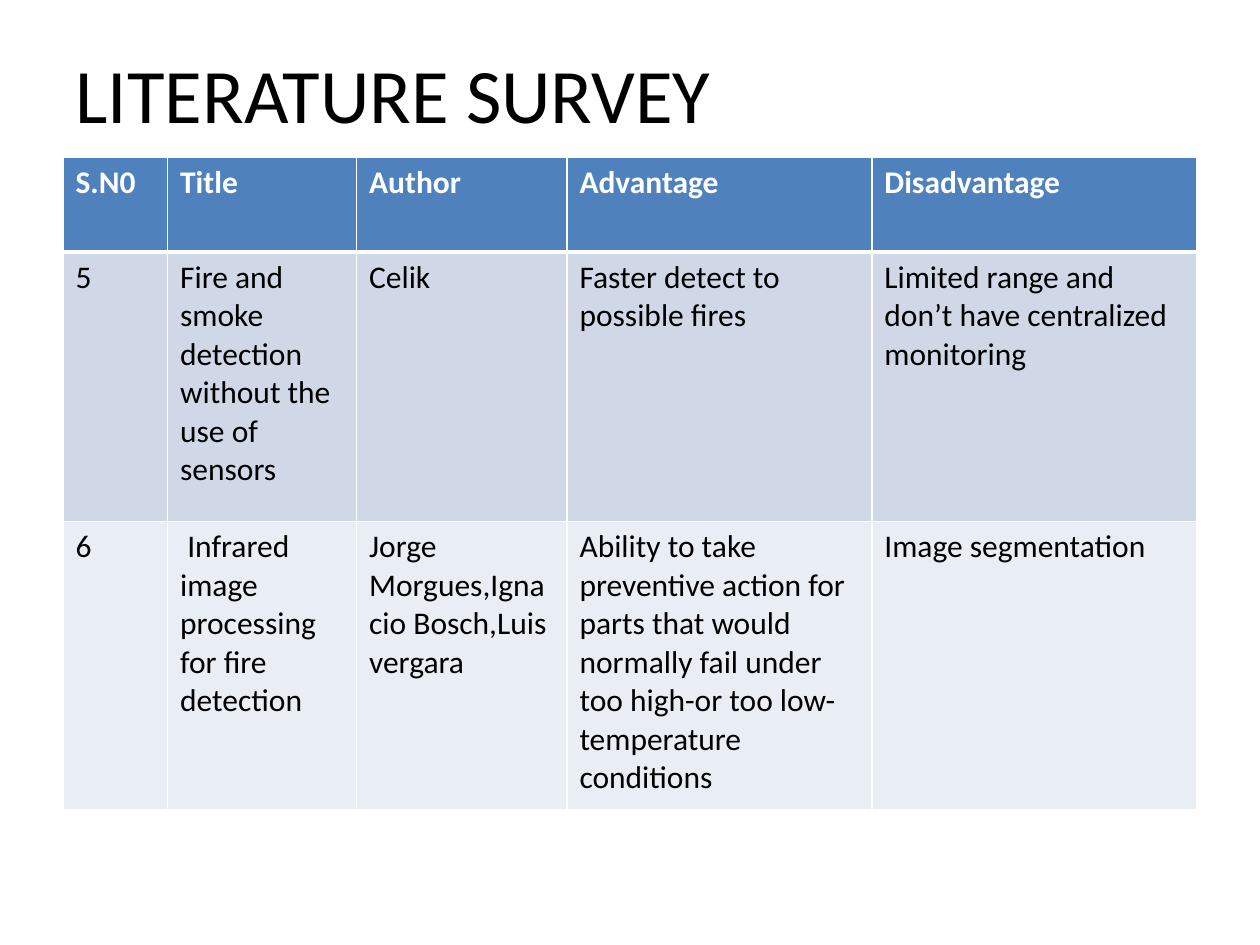
from lxml.etree import SubElement as Sub
from pptx import Presentation
from pptx.dml.color import RGBColor
from pptx.enum.text import MSO_ANCHOR as Anchor, PP_ALIGN as Align
from pptx.oxml.ns import qn
from pptx.util import Inches, Pt

BLACK = RGBColor(0, 0, 0)
WHITE = RGBColor(255, 255, 255)
BLUE = RGBColor(0x4F, 0x81, 0xBD)
BANDS = [RGBColor(0xD0, 0xD8, 0xE8), RGBColor(0xE9, 0xED, 0xF4)]

WIDE, HIGH = Inches(10), Inches(7.5)
COLS = [0.83, 1.5, 1.67, 2.42, 2.58]
ROWS = [0.75, 2.14, 2.29]

HEAD = {"name": "Calibri", "size": Pt(18), "bold": True}
BODY = {**HEAD, "bold": False}
TITLE = {**BODY, "size": Pt(44)}

DATA = [
    ["S.N0", "Title", "Author", "Advantage", "Disadvantage"],
    ["5", "Fire and smoke detection without the use of sensors", "Celik",
     "Faster detect to possible fires",
     "Limited range and don’t have centralized monitoring"],
    ["6", " Infrared image processing for fire detection",
     "Jorge Morgues,Ignacio Bosch,Luis vergara",
     "Ability to take preventive action for parts that would normally fail "
     "under too high-or too low- temperature conditions",
     "Image segmentation"],
]


def style(frame, look, color):
    font = frame.paragraphs[0].runs[0].font
    for key, value in look.items():
        setattr(font, key, value)
    font.color.rgb = color


def border(cell, widths):
    """Draw white cell edges; widths are points by side."""
    props = cell._tc.get_or_add_tcPr()
    for side, width in widths.items():
        line = Sub(props, qn("a:ln" + side), w=str(Pt(width)))
        Sub(Sub(line, qn("a:solidFill")), qn("a:srgbClr"), val=str(WHITE))


def add_title(slide, text, box):
    title = slide.shapes.title
    title.left, title.top, title.width, title.height = box
    frame = title.text_frame
    frame.text = text
    frame.vertical_anchor = Anchor.MIDDLE
    frame.paragraphs[0].alignment = Align.LEFT
    style(frame, TITLE, BLACK)


def add_survey(slide, data, box):
    left, top, width, height = box
    table = slide.shapes.add_table(len(data), len(COLS), *box).table
    for col, part in zip(table.columns, COLS):
        col.width = int(width * part / sum(COLS))
    for row, part in zip(table.rows, ROWS):
        row.height = int(height * part / sum(ROWS))

    # Header row first, then alternating bands
    for r, line in enumerate(data):
        head = r == 0
        for c, text in enumerate(line):
            cell = table.cell(r, c)
            cell.text = text
            style(cell.text_frame, HEAD if head else BODY,
                  WHITE if head else BLACK)
            border(cell, {"L": 1, "R": 1, "T": 3 if r == 1 else 1,
                          "B": 3 if head else 1})
            cell.fill.solid()
            cell.fill.fore_color.rgb = BLUE if head else BANDS[(r - 1) % 2]


def main():
    deck = Presentation()
    deck.slide_width, deck.slide_height = WIDE, HIGH
    slide = deck.slides.add_slide(deck.slide_layouts[5])
    left, width = int(WIDE * 0.05), int(WIDE * 0.9)
    add_title(slide, "LITERATURE SURVEY",
              (left, int(HIGH * 0.04), width, Inches(0.87)))
    add_survey(slide, DATA, (left, Inches(1.25), width, Inches(sum(ROWS))))
    deck.save("out.pptx")


if __name__ == "__main__":
    main()
